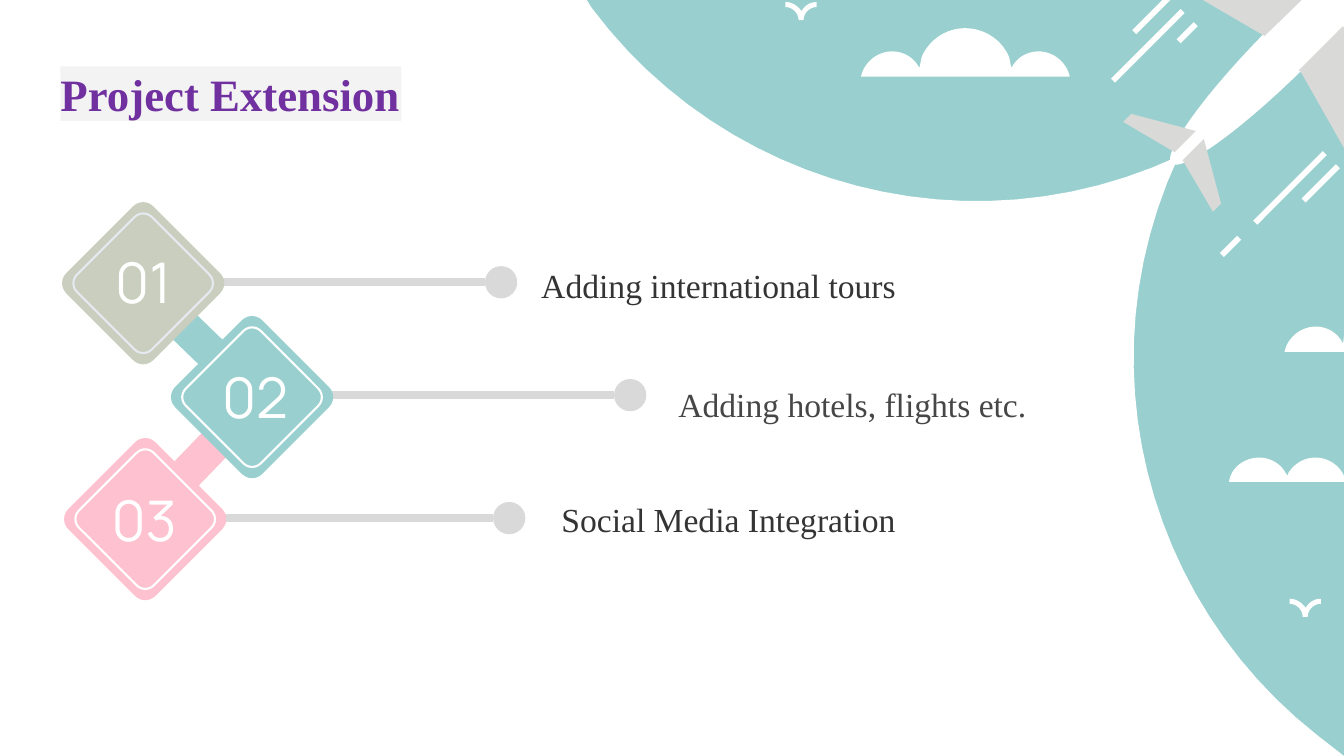
from lxml import etree
from pptx import Presentation
from pptx.dml.color import RGBColor
from pptx.enum.shapes import MSO_CONNECTOR, MSO_SHAPE
from pptx.enum.text import MSO_ANCHOR, MSO_AUTO_SIZE, PP_ALIGN
from pptx.oxml.ns import qn
from pptx.util import Inches, Pt

RECTANGLE, ROUNDED, OVAL = MSO_SHAPE.RECTANGLE, MSO_SHAPE.ROUNDED_RECTANGLE, MSO_SHAPE.OVAL
STRAIGHT, MIDDLE = MSO_CONNECTOR.STRAIGHT, MSO_ANCHOR.MIDDLE
FIT_SHAPE, CENTER, LEFT = MSO_AUTO_SIZE.SHAPE_TO_FIT_TEXT, PP_ALIGN.CENTER, PP_ALIGN.LEFT
TEAL, SAGE, PINK, GREY, WHITE = "99D0CF", "C9CEBE", "FEC1CF", "D9D9D9", "FFFFFF"
SERIF = "Times New Roman"
CURVE_STEPS = 24
ROUNDING = 0.115


def paint(color_format, color):
    """Apply a hex colour to a fill, line or font."""
    if hasattr(color_format, "solid"):
        color_format.solid()
        color_format.fore_color.rgb = RGBColor.from_string(color)
    else:
        color_format.color.rgb = RGBColor.from_string(color)


def add_outline(contours, color):
    """Draw closed contours; a pair is a corner, six numbers are a Bezier curve."""
    builder = None
    for contour in contours:
        points = [contour[0]]
        for step in contour[1:]:
            if len(step) == 2:
                points.append(step)
                continue
            x0, y0 = points[-1]
            x1, y1, x2, y2, x3, y3 = step
            for i in range(1, CURVE_STEPS + 1):
                t = i / CURVE_STEPS
                u = 1 - t
                a, b, c, d = u**3, 3 * u * u * t, 3 * u * t * t, t**3
                points.append((a * x0 + b * x1 + c * x2 + d * x3,
                               a * y0 + b * y1 + c * y2 + d * y3))
        points = [(Inches(x), Inches(y)) for x, y in points]
        if builder is None:
            builder = page.shapes.build_freeform(*points[0])
        else:
            builder.move_to(*points[0])
        builder.add_line_segments(points[1:], close=True)
    shape = builder.convert_to_shape()
    shape.shadow.inherit = False
    paint(shape.fill, color)
    shape.line.fill.background()


deck = Presentation()
deck.slide_width, deck.slide_height = Inches(13.33), Inches(7.5)
page = deck.slides.add_slide(deck.slide_layouts[6])

# Sky, with the white page area curving over it
sky = page.shapes.add_shape(RECTANGLE, Inches(5.78), 0, Inches(7.55), Inches(7.5))
sky.shadow.inherit = False
paint(sky.fill, TEAL)
sky.line.fill.background()
add_outline([[(0, 0), (5.82, 0), (5.87, 0.08), (7.19, 1.85, 9.61, 2.52, 11.69, 1.55),
              (10.74, 3.59, 11.36, 5.95, 13.06, 7.29), (13.33, 7.5), (0, 7.5)]], WHITE)

# Speed streaks: top corner and diagonal run
streaks = [(12.27, 2.34, 0.17), (13.25, 1.63, 0.34), (13.12, 1.5, 0.69),
           (11.84, 0.22, 0.17), (11.71, 0.09, 0.69), (11.58, -0.05, 0.35)]
add_outline([[(x, y), (x + 0.04, y + 0.04), (x + 0.04 - run, y + 0.04 + run), (x - run, y + run)]
             for x, y, run in streaks], WHITE)

clouds = [
    [(9.57, 0.28), (9.77, 0.28, 9.94, 0.4, 10.01, 0.57), (10.03, 0.67), (10.04, 0.66),
     (10.09, 0.57, 10.19, 0.51, 10.3, 0.51), (10.45, 0.51, 10.58, 0.62, 10.61, 0.76),
     (8.54, 0.76), (8.57, 0.62, 8.7, 0.51, 8.85, 0.51), (8.96, 0.51, 9.06, 0.57, 9.11, 0.66),
     (9.12, 0.67), (9.14, 0.57), (9.21, 0.4, 9.38, 0.28, 9.57, 0.28)],
    [(12.49, 4.54), (12.6, 4.54, 12.7, 4.6, 12.75, 4.69), (12.77, 4.72), (12.78, 4.69),
     (12.84, 4.6, 12.93, 4.54, 13.05, 4.54), (13.19, 4.54, 13.32, 4.64, 13.35, 4.78),
     (12.19, 4.78), (12.21, 4.64, 12.34, 4.54, 12.49, 4.54)],
    [(13.05, 3.24), (13.16, 3.24, 13.26, 3.3, 13.31, 3.39), (13.32, 3.41), (13.33, 3.33),
     (13.33, 3.49), (12.74, 3.49), (12.77, 3.35, 12.9, 3.24, 13.05, 3.24)],
]
for cloud in clouds:
    add_outline([cloud], WHITE)

for x, y in [(7.79, 0.02), (12.79, 5.94)]:
    add_outline([[(x + 0.18, y + 0.18), (x + 0.13, y + 0.18),
                  (x + 0.13, y + 0.11, x + 0.07, y + 0.05, x, y + 0.05), (x, y),
                  (x + 0.07, y, x + 0.12, y + 0.04, x + 0.16, y + 0.09),
                  (x + 0.19, y + 0.04, x + 0.24, y, x + 0.31, y), (x + 0.31, y + 0.05),
                  (x + 0.24, y + 0.05, x + 0.18, y + 0.11, x + 0.18, y + 0.18)]], WHITE)

# Airplane: body, then tail fins and wings
add_outline([[(12.87, 0), (13.33, 0), (13.33, 0.28), (12.98, 0.63),
              (12.33, 1.28, 11.72, 1.72, 11.62, 1.62),
              (11.52, 1.52, 11.96, 0.91, 12.61, 0.26)]], WHITE)
add_outline([[(11.94, 1.38), (12.11, 2.02), (12.03, 2.1), (11.73, 1.59)],
             [(11.22, 1.13), (11.86, 1.3), (11.65, 1.51), (11.14, 1.21)],
             [(13.32, 0.26), (13.33, 0.28), (13.33, 1.47), (12.9, 0.71), (12.88, 0.7)],
             [(11.93, 0), (12.91, 0), (12.54, 0.36), (12.53, 0.35)]], "D9D9D8")

# Bars linking the diamonds
for center_x, center_y, angle, color in [(1.91, 3.32, 44, TEAL), (2.06, 4.48, 134, PINK)]:
    link = page.shapes.add_shape(ROUNDED, Inches(center_x - 0.52), Inches(center_y - 0.17),
                                 Inches(1.04), Inches(0.34))
    link.adjustments[0] = 0.35
    link.rotation = angle
    link.shadow.inherit = False
    paint(link.fill, color)
    link.line.fill.background()

# Numbered diamonds: centre, colours, stem start, label place
items = [
    ("01", 1.42, 2.81, SAGE, "E5E9F0", 1.63, 2.8),
    ("02", 2.5, 3.94, TEAL, WHITE, 2.91, 3.92),
    ("03", 1.44, 5.15, PINK, WHITE, 1.71, 5.14),
]
for number, center_x, center_y, color, ring_color, stem_x, stem_y in items:
    stem_end = stem_x + 3.18
    stem = page.shapes.add_connector(STRAIGHT, Inches(stem_x), Inches(stem_y),
                                     Inches(stem_end), Inches(stem_y))
    paint(stem.line, GREY)
    stem.line.width = Pt(6)
    etree.SubElement(stem._element.spPr, qn("a:effectLst"))

    dot = page.shapes.add_shape(OVAL, Inches(stem_end), Inches(stem_y - 0.16),
                                Inches(0.32), Inches(0.32))
    dot.shadow.inherit = False
    paint(dot.fill, GREY)
    dot.line.fill.background()

    for side in (1.22, 1.05):
        diamond = page.shapes.add_shape(ROUNDED, Inches(center_x - side / 2),
                                        Inches(center_y - side / 2), Inches(side), Inches(side))
        diamond.adjustments[0] = ROUNDING
        diamond.rotation = 45
        diamond.shadow.inherit = False
        paint(diamond.fill, color)
        diamond.line.fill.background()
    paint(diamond.line, ring_color)
    diamond.line.width = Pt(1.5)

# Text: wording, left, top, width, height, size, font, colour, alignment
texts = [
    ("01", 1.01, 2.41, 0.82, 0.77, 40, "Manrope", WHITE, CENTER),
    ("02", 2.1, 3.55, 0.86, 0.77, 40, "Manrope", WHITE, CENTER),
    ("03", 1, 4.77, 0.86, 0.77, 40, "Manrope", WHITE, CENTER),
    ("Adding international tours", 5.27, 2.58, 4.13, 0.5, 24, SERIF, "343434", LEFT),
    ("Adding hotels, flights etc.", 6.63, 3.76, 4.33, 0.5, 24, SERIF, "464646", LEFT),
    ("Social Media Integration", 5.47, 4.9, 3.61, 0.5, 24, SERIF, "343434", LEFT),
    ("Project Extension", 0.6, 0.66, 3.38, 0.54, 32, SERIF, "7030A0", LEFT),
]
for wording, left, top, width, height, size, font, color, alignment in texts:
    box = page.shapes.add_textbox(Inches(left), Inches(top), Inches(width), Inches(height))
    frame = box.text_frame
    frame.word_wrap = alignment == LEFT
    frame.auto_size = FIT_SHAPE
    para = frame.paragraphs[0]
    para.text = wording
    para.alignment = alignment
    para.font.name = font
    para.font.size = Pt(size)
    paint(para.font, color)

# The last box is the title, on a pale panel
paint(box.fill, "F3F3F3")
para.font.bold = True
frame.vertical_anchor = MIDDLE
frame.margin_left = frame.margin_right = frame.margin_top = frame.margin_bottom = 0

deck.save("out.pptx")
